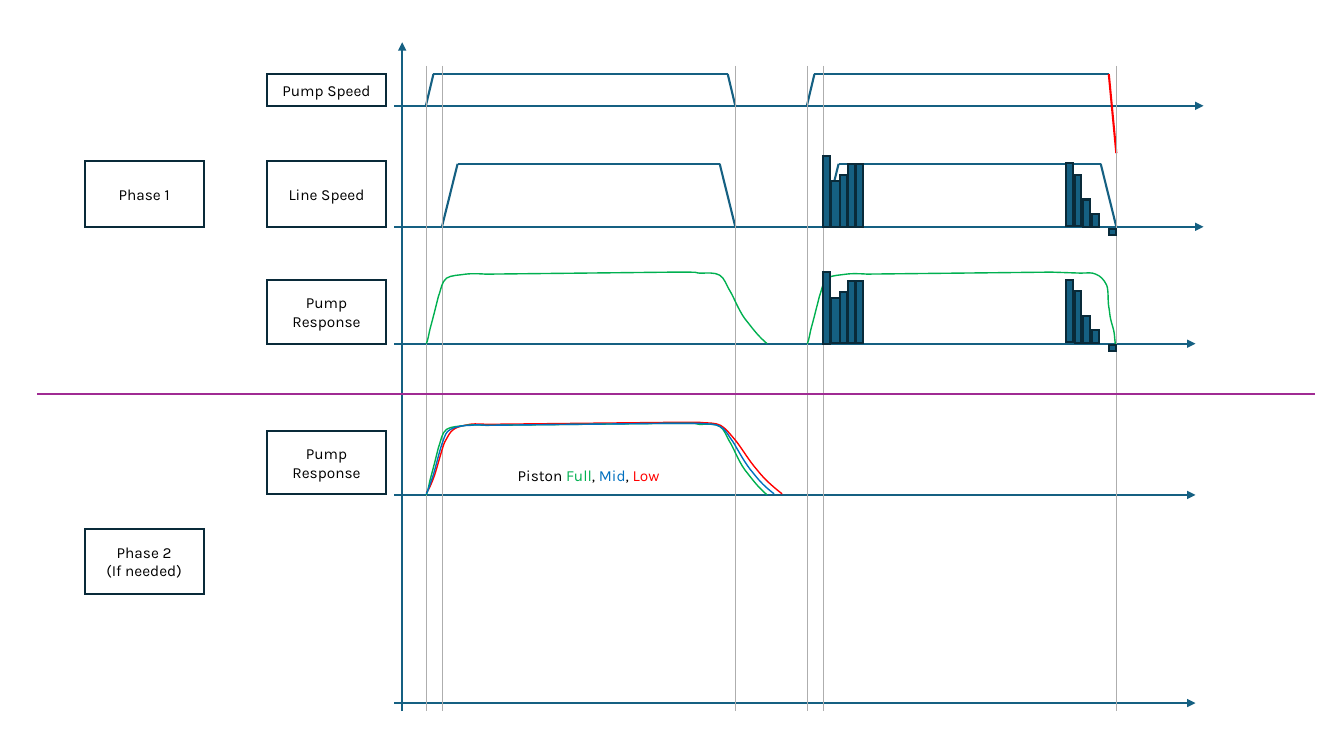
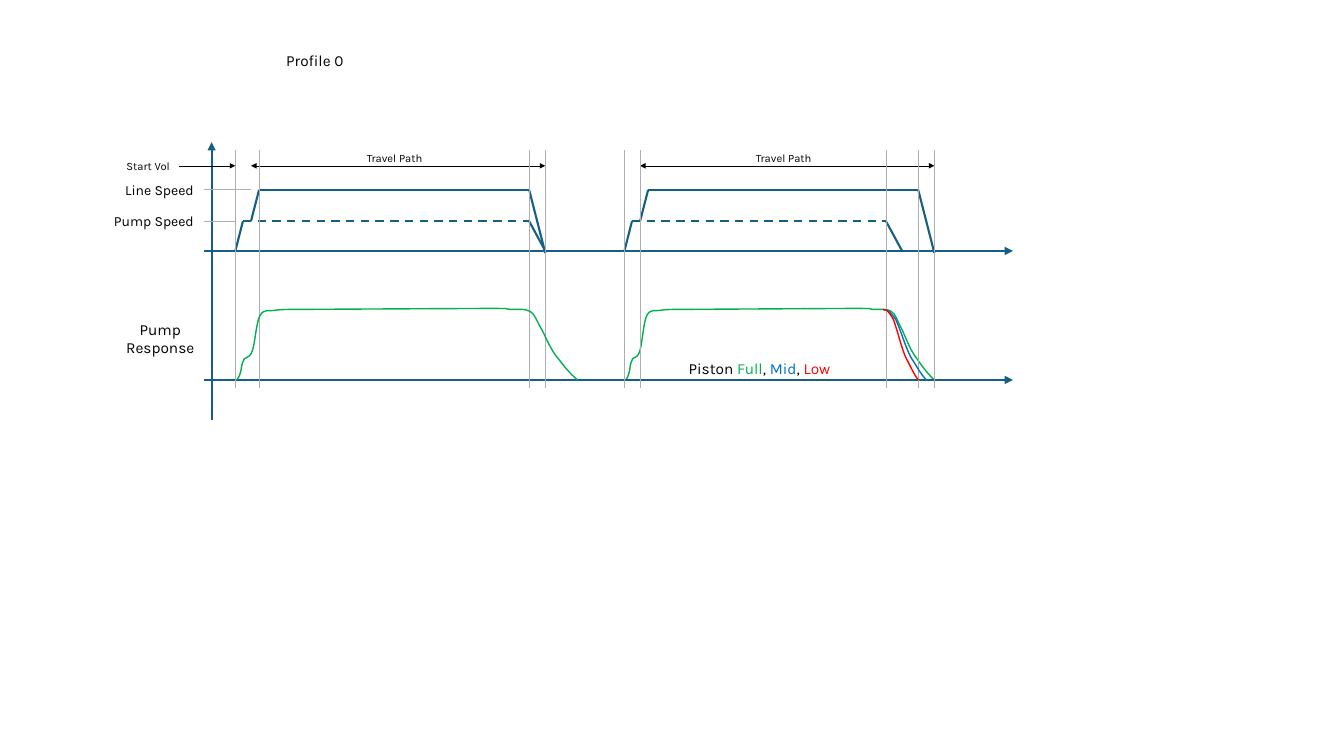
from itertools import pairwise

from lxml.etree import Element, SubElement
from pptx import Presentation
from pptx.dml.color import RGBColor
from pptx.enum.dml import MSO_LINE
from pptx.enum.shapes import MSO_CONNECTOR, MSO_SHAPE
from pptx.enum.text import MSO_ANCHOR, PP_ALIGN
from pptx.oxml.ns import qn
from pptx.util import Inches, Pt

CELL = 0.01
COLUMNS, ROWS = 1333.33, 750
COLORS = {
    "signal": "156082", "outline": "092A39", "guide": "AEAEAE", "divider": "A02B93",
    "ink": "000000", "full": "00B050", "mid": "0070C0", "low": "FF0000",
}
LEGEND = [("Piston ", "ink"), ("Full", "full"), (", ", "ink"), ("Mid", "mid"),
          (", ", "ink"), ("Low", "low")]

RISE = [(0, 0), (2, -5, 2, -8, 4, -16), (6, -23, 10, -39, 12, -47),
        (15, -55, 15, -61, 20, -65), (24, -68, 33, -68, 39, -69),
        (46, -70, 59, -69, 59, -69), (242, -71)]
SLOW_STOP = [(277, -71, 263, -71, 271, -70), (279, -70, 286, -71, 291, -68),
             (296, -65, 297, -59, 302, -51), (306, -44, 311, -30, 319, -21),
             (326, -12, 330, -7, 338, 0)]
FAST_STOP = [(271, -70), (278, -70, 282, -71, 286, -69), (291, -67, 294, -64, 297, -58),
             (299, -53, 298, -43, 299, -37), (300, -32, 300, -28, 301, -24),
             (302, -20, 303, -17, 304, -13), (305, -9, 305, -1, 306, 2)]
LOW_RESPONSE = [(0, -2), (3, -6, 5, -11, 8, -19), (11, -28, 15, -44, 18, -52),
                (22, -59, 23, -62, 27, -65), (31, -68, 38, -69, 43, -70),
                (49, -71, 59, -70, 59, -70), (242, -72),
                (278, -72, 263, -72, 271, -72), (280, -71, 286, -72, 292, -69),
                (297, -66, 300, -62, 306, -55), (312, -48, 320, -34, 328, -25),
                (335, -16, 344, -8, 353, -1)]
MID_RESPONSE = [(0, -1), (2, -5, 3, -9, 6, -17), (9, -26, 13, -44, 16, -52),
                (19, -60, 19, -62, 24, -65), (29, -68, 38, -69, 44, -69),
                (50, -70, 59, -69, 59, -69), (242, -71),
                (277, -71, 263, -71, 271, -71), (279, -70, 286, -71, 291, -68),
                (297, -65, 298, -61, 304, -53), (309, -45, 316, -31, 324, -22),
                (331, -13, 336, -8, 345, -1)]
STEPPED_RISE = [(0, 0), (3, -4, 3, -6, 4, -9), (5, -12, 4, -13, 6, -18),
                (7, -24, 12, -20, 15, -28), (18, -35, 19, -57, 23, -64),
                (27, -71, 32, -68, 37, -69), (42, -70, 53, -70, 53, -70), (243, -71)]
EARLY_STOP = [(0, 0), (6, 1, 6, 2, 9, 5), (12, 8, 13, 10, 16, 18),
              (19, 25, 23, 39, 28, 48), (34, 57, 36, 62, 43, 70)]
BARS = [(816.5, -70.5, 7, 71), (824, -45, 10, 45), (833.5, -51, 7, 51),
        (841, -62, 7, 62), (849, -62, 7, 62), (1058, -63, 7, 62), (1066.5, -51.5, 6, 51),
        (1074, -27, 7, 27), (1083, -13, 7, 13), (1100, 2, 7, 6)]


def cells(count):
    return Inches(count * CELL)


def color(name):
    return RGBColor.from_string(COLORS[name])


class Diagram:
    font = "Karla"

    def __init__(self):
        self.deck = Presentation()
        self.deck.slide_width, self.deck.slide_height = cells(COLUMNS), cells(ROWS)
        self.page = None

    def new_page(self):
        self.page = self.deck.slides.add_slide(self.deck.slide_layouts[6])

    def stroke(self, shape, tint, width, dashed=False):
        shape.line.color.rgb = color(tint)
        shape.line.width = Pt(width)
        if dashed:
            shape.line.dash_style = MSO_LINE.DASH
        outline = shape.element.spPr.find(qn("a:ln"))
        SubElement(outline, qn("a:miter"), lim="800000")
        return outline

    def line(self, start, end, tint="signal", width=1.5, dashed=False, arrows=(), head="med"):
        link = self.page.shapes.add_connector(
            MSO_CONNECTOR.STRAIGHT, *map(cells, (*start, *end)))
        outline = self.stroke(link, tint, width, dashed)
        for arrow in arrows:
            SubElement(outline, qn(f"a:{arrow}"), type="triangle", w=head, len=head)
        SubElement(link.element.spPr, qn("a:effectLst"))

    def axis(self, start, end):
        self.line(start, end, arrows=["tailEnd"])

    def signal(self, *points):
        for start, end in pairwise(points):
            self.line(start, end)

    def guides(self, columns, top, bottom):
        for column in columns:
            self.line((column, top), (column, bottom), "guide", 0.25)

    def span_arrow(self, start, end, row, arrows):
        self.line((start, row), (end, row), "ink", 0.25, arrows=arrows, head="sm")

    def curve(self, left, base, steps, tint, stretch=1):
        def place(x, y):
            return cells(left + x * stretch), cells(base + y)

        anchors = [place(*step[-2:]) for step in steps]
        builder = self.page.shapes.build_freeform(*anchors[0])
        builder.add_line_segments(anchors[1:], close=False)
        outline = builder.convert_to_shape()
        segments = list(outline.element.iter(qn("a:lnTo")))
        for segment, step in zip(segments, steps[1:]):
            if len(step) == 6:
                segment.tag = qn("a:cubicBezTo")
                for index, handle in enumerate((step[:2], step[2:4])):
                    x, y = place(*handle)
                    segment.insert(index, Element(
                        qn("a:pt"), x=str(x - outline.left), y=str(y - outline.top)))
        outline.shadow.inherit = False
        outline.fill.background()
        self.stroke(outline, tint, 1)

    def rectangle(self, left, top, width, height, fill=None):
        box = self.page.shapes.add_shape(
            MSO_SHAPE.RECTANGLE, *map(cells, (left, top, width, height)))
        box.shadow.inherit = False
        if fill:
            box.fill.solid()
            box.fill.fore_color.rgb = color(fill)
        else:
            box.fill.background()
        self.stroke(box, "outline", 1.5)
        return box

    def bars(self, base):
        for left, rise, width, height in BARS:
            self.rectangle(left, base + rise, width, height, "signal")

    def style(self, frame, size, align):
        frame.word_wrap = True
        frame.vertical_anchor = MSO_ANCHOR.MIDDLE
        for para in frame.paragraphs:
            para.alignment = align
            for span in para.runs:
                span.font.name = self.font
                span.font.size = Pt(size)
                span.font.color.rgb = color("ink")

    def box(self, text, left, top, height):
        frame = self.rectangle(left, top, 118, height).text_frame
        frame.text = text
        self.style(frame, 11, PP_ALIGN.CENTER)

    def label(self, text, left, top, width, height, size=11, align=PP_ALIGN.CENTER):
        frame = self.page.shapes.add_textbox(
            *map(cells, (left, top, width, height))).text_frame
        frame.text = text
        self.style(frame, size, align)
        return frame

    def legend(self, left, top, width):
        frame = self.label("", left, top, width, 24)
        para = frame.paragraphs[0]
        for text, _ in LEGEND:
            para.add_run().text = text
        self.style(frame, 11, PP_ALIGN.CENTER)
        for span, (_, tint) in zip(para.runs, LEGEND):
            span.font.color.rgb = color(tint)


def phases_page(art):
    art.new_page()
    art.axis((399, 705.5), (399, 42))
    for row, end in ((105, 1194), (225, 1194), (341, 1186), (491, 1186), (697.5, 1186)):
        art.axis((391, row), (end, row))
    art.signal((422.5, 105), (430, 73.5), (722, 73.5), (729.5, 105))
    art.signal((800.5, 105), (808, 73.5), (1100, 73.5))
    art.line((1107.5, 152), (1100, 73.5), "low")
    for shift in (0, 378):
        art.signal((438.5 + shift, 225), (454 + shift, 162.5), (714 + shift, 162.5),
                   (729.5 + shift, 225))
    art.guides((422.5, 438.5, 729.5, 800.5, 816.5, 1107.5), 65.5, 705.5)

    for text, left, top, height in (
            ("Pump Speed", 265, 73.5, 31.5), ("Line Speed", 265, 160, 65),
            ("Pump Response", 265, 278, 63), ("Pump Response", 265, 427.5, 63),
            ("Phase 1", 84, 160, 65), ("Phase 2\n(If needed)", 84, 524.5, 65)):
        art.box(text, left, top, height)

    art.curve(423, 341, RISE + SLOW_STOP, "full")
    art.curve(801, 341, RISE + FAST_STOP, "full")
    art.curve(423, 491, LOW_RESPONSE, "low")
    art.curve(423, 491, RISE + SLOW_STOP, "full")
    art.curve(423, 491, MID_RESPONSE, "mid")
    art.legend(446, 459.5, 276)
    art.line((37, 391), (1305, 391), "divider")
    for base in (225, 340.5):
        art.bars(base)


def profile_page(art):
    art.new_page()
    art.curve(621, 377, STEPPED_RISE + SLOW_STOP, "full", 306 / 338)
    art.label("Profile 0", 108, 28.5, 409, 63)
    art.axis((210, 417), (210, 141))
    for row in (249, 377):
        art.axis((202, row), (1005, row))
    for start, slow_down, pump_end, line_end in (
            (233.5, 525, 541, 541), (619.5, 879, 895, 927)):
        art.signal((start, 249), (start + 7.5, 219.5))
        art.line((start + 7.5, 219.5), (slow_down, 219.5), dashed=True)
        art.signal((start + 15.5, 219.5), (start + 23.5, 188.5),
                   (line_end - 16, 188.5), (line_end, 251))
        art.signal((slow_down, 219.5), (pump_end, 249))
        art.span_arrow(start + 15.5, line_end, 164.5, ["headEnd", "tailEnd"])
        art.label("Travel Path", start + 118.5, 149, 79, 16, 8)
    art.guides((233.5, 257, 525, 541, 619.5, 635, 879, 911, 927), 149, 385)
    art.span_arrow(178, 233.5, 164.5, ["tailEnd"])
    art.label("Start Vol", 107.5, 157, 79, 16, 8)
    for text, row, end in (("Line Speed", 188, 249), ("Pump Speed", 219.5, 233.5)):
        art.line((202, row), (end, row), "guide", 0.25)
        art.label(text, 84, row - 15.5, 118, 31, 10, PP_ALIGN.RIGHT)
    art.label("Pump Response", 100, 304, 118, 63)

    art.curve(235, 377, STEPPED_RISE + SLOW_STOP, "full")
    art.legend(651, 353.5, 205)
    art.curve(876, 307, EARLY_STOP, "mid")
    art.curve(876, 307, EARLY_STOP, "low", 35 / 43)


def main():
    art = Diagram()
    phases_page(art)
    profile_page(art)
    art.deck.save("out.pptx")


if __name__ == "__main__":
    main()
